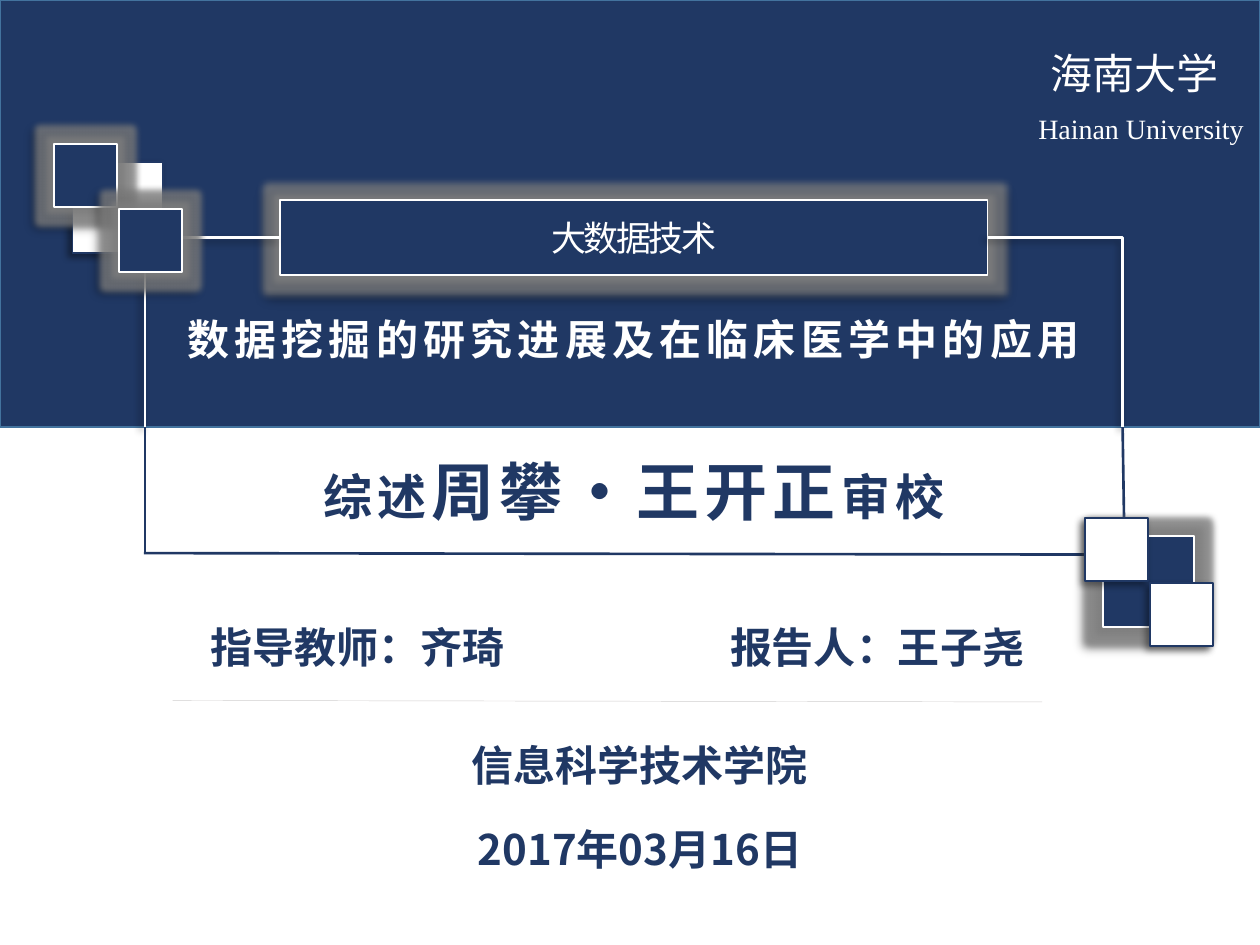
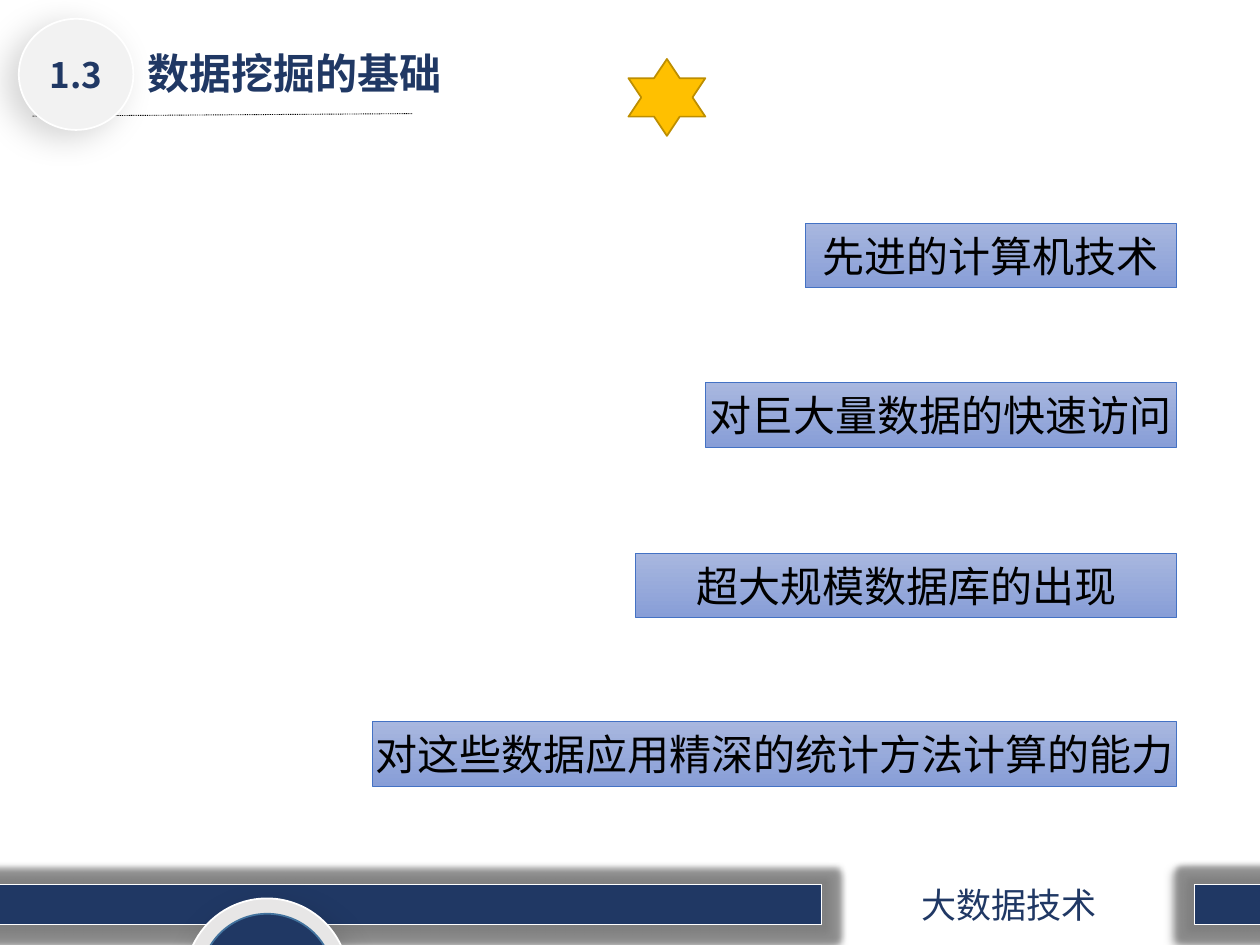
from pptx import Presentation
from pptx.dml.color import RGBColor
from pptx.enum.dml import MSO_LINE
from pptx.enum.lang import MSO_LANGUAGE_ID as LANG
from pptx.enum.shapes import MSO_CONNECTOR as CONN, MSO_SHAPE as SHAPE
from pptx.enum.text import MSO_ANCHOR as ANCHOR, MSO_AUTO_SIZE as FIT, PP_ALIGN as ALIGN
from pptx.oxml.ns import qn
from pptx.oxml.xmlchemy import OxmlElement
from pptx.util import Cm, Pt

NAVY, WHITE, EDGE, GREY = "203864", "FFFFFF", "43739E", "7F7F7F"
SANS = "Noto Sans CJK SC"
SOFT = ("000000", 40, 4, 3, 135)
BELOW = ("000000", 40, 4, 3, 90)
COURSE = "大数据技术"

COVER_TITLE = "数据挖掘的研究进展及在临床医学中的应用"
AUTHORS = [("综述", 28), ("周攀·王开正", 36), ("审校", 28)]
DETAILS = [
    ("指导教师：齐琦", 2.84, 12.4),
    ("报告人：王子尧", 13.31, 12.4),
    ("信息科学技术学院", 8.53, 14.78),
    ("2017年03月16日", 8.53, 16.48),
]
UNIVERSITY = [
    ("海南大学", (20.8, 0.84, 4.14, 1.27), 24, SANS),
    ("Hainan University", (20.02, 2.13, 5.97, 0.94), 16, "Times New Roman"),
]
FRAME_TOP = [((2.92, 4.75), (2.92, 8.61), CONN.STRAIGHT),
             ((19.91, 4.79), (22.63, 8.61), CONN.ELBOW)]
FRAME_BOTTOM = [((2.92, 8.61), (2.92, 11.15)),
                ((22.63, 8.61), (22.66, 10.52)),
                ((2.9, 11.15), (22.73, 11.18))]
SQUARE_GROUPS = [((21.87, 10.44), NAVY, WHITE), ((1.09, 2.9), WHITE, NAVY)]

SECTION_NO, SECTION_TITLE = "1.3", "数据挖掘的基础"
FOUNDATIONS = [
    ("先进的计算机技术", 4.5, 7.49),
    ("对巨大量数据的快速访问", 7.72, 9.5),
    ("超大规模数据库的出现", 11.15, 10.9),
    ("对这些数据应用精深的统计方法计算的能力", 14.55, 16.21),
]
FOUNDATION_RIGHT, FOUNDATION_HEIGHT = 23.72, 1.3
FOOTER_BARS = [(-0.15, 16.71), (24.08, 1.4)]


def rgb(color):
    return RGBColor.from_string(color)


def child(parent, tag, **attrs):
    e = OxmlElement(tag)
    for name, value in attrs.items():
        e.set(name, str(value))
    parent.append(e)
    return e


def add_effects(s, shadow=None, glow=False):
    sp_pr = s._element.spPr
    effects = sp_pr.find(qn("a:effectLst"))
    if effects is None:
        effects = child(sp_pr, "a:effectLst")
    if glow:
        e = child(effects, "a:glow", rad=Pt(7))
        child(child(e, "a:srgbClr", val=GREY), "a:alpha", val=75000)
    if shadow:
        color, alpha, blur, dist, angle = shadow
        e = child(effects, "a:outerShdw", blurRad=Pt(blur), dist=Pt(dist),
                  dir=angle * 60000, algn="ctr", rotWithShape=0)
        child(child(e, "a:srgbClr", val=color), "a:alpha", val=alpha * 1000)


def write(s, text, size=24, font=SANS, color=NAVY, bold=False, spc=0,
          align=ALIGN.CENTER, anchor=ANCHOR.TOP, wrap=True):
    tf = s.text_frame
    tf.auto_size = FIT.NONE
    tf.word_wrap = wrap
    tf.vertical_anchor = anchor
    p = tf.paragraphs[0]
    p.alignment = align
    runs = [(text, size)] if isinstance(text, str) else text
    for words, points in runs:
        r = p.add_run()
        r.text = words
        r.font.size, r.font.bold, r.font.name = Pt(points), bold, font
        r.font.color.rgb = rgb(color)
        r.font.language_id = LANG.SIMPLIFIED_CHINESE
        r_pr = r.font._element
        child(r_pr, "a:ea", typeface=SANS)
        if spc:
            r_pr.set("spc", str(int(spc * 100)))
    return s


def add_text(slide, text, at, **fmt):
    return write(slide.shapes.add_textbox(*map(Cm, at)), text, **fmt)


def set_title(slide, text, at, **fmt):
    s = slide.shapes.title
    s.left, s.top, s.width, s.height = map(Cm, at)
    slide.shapes._spTree.append(s._element)
    return write(s, text, bold=True, **fmt)


def add_shape(slide, at, fill, line, kind=SHAPE.RECTANGLE, width=1, shadow=None):
    s = slide.shapes.add_shape(kind, *map(Cm, at))
    s.shadow.inherit = False
    if isinstance(fill, str):
        s.fill.solid()
        s.fill.fore_color.rgb = rgb(fill)
    else:
        s.fill.gradient()
        s.fill.gradient_angle = 270
        for stop, color in zip(s.fill.gradient_stops, fill):
            stop.color.rgb = rgb(color)
    s.line.color.rgb = rgb(line)
    s.line.width = Pt(width)
    add_effects(s, shadow, glow=bool(shadow) and (fill, line) == (NAVY, WHITE))
    return s


def add_line(slide, start, end, color, width=1.5, kind=CONN.STRAIGHT, shadow=None):
    c = slide.shapes.add_connector(kind, *map(Cm, start + end))
    c.line.color.rgb = rgb(color)
    c.line.width = Pt(width)
    if kind == CONN.ELBOW:
        c._element.spPr.find(qn("a:prstGeom")).set("prst", "bentConnector2")
    add_effects(c, shadow)
    return c


def add_squares(slide, origin, big, small):
    x, y = origin
    for offset, size, fill, line in [(0.37, 1.83, big, small),
                                     (0, 1.27, small, big),
                                     (1.31, 1.27, small, big)]:
        add_shape(slide, (x + offset, y + offset, size, size), fill, line, shadow=SOFT)


def build_cover(prs, layout):
    slide = prs.slides.add_slide(layout)
    add_shape(slide, (0, 0, 25.4, 8.61), NAVY, EDGE)
    course = add_shape(slide, (5.64, 4.04, 14.27, 1.5), NAVY, WHITE, shadow=BELOW)
    write(course, COURSE, size=20, color=WHITE, spc=-1.5, anchor=ANCHOR.MIDDLE)
    link = add_line(slide, (5.64, 4.79), (2.9, 4.79), WHITE, shadow=SOFT)
    link.begin_connect(course, 1)
    for start, end, kind in FRAME_TOP:
        add_line(slide, start, end, WHITE, kind=kind, shadow=SOFT)
    for start, end in FRAME_BOTTOM:
        add_line(slide, start, end, NAVY)
    for group in SQUARE_GROUPS:
        add_squares(slide, *group)
    set_title(slide, COVER_TITLE, (2.9, 6.2, 19.74, 1.27), color=WHITE, spc=3)
    add_text(slide, AUTHORS, (2.92, 8.99, 19.71, 1.8), bold=True, spc=3)
    for text, x, y in DETAILS:
        add_text(slide, text, (x, y, 8.74, 1.27), bold=True)
    add_line(slide, (3.48, 14.12), (21.01, 14.15), "D0CECE", 0.25)
    for text, at, size, font in UNIVERSITY:
        add_text(slide, text, at, size=size, font=font, color=WHITE)


def add_footer(slide):
    for x, width in FOOTER_BARS:
        add_shape(slide, (x, 17.83, width, 0.81), NAVY, WHITE, shadow=SOFT)
    add_text(slide, COURSE, (16.23, 17.68, 8.23, 1.12), size=20)
    for at, fill, line, shadow in [
            ((3.73, 18.11, 3.3, 3.3), "E7E6E6", WHITE, ("000000", 19, 19, 8, 65)),
            ((4.04, 18.42, 2.69, 2.69), NAVY, EDGE, None)]:
        add_shape(slide, at, fill, line, SHAPE.TEAR, shadow=shadow).rotation = 141.3


def build_foundations(prs, layout):
    slide = prs.slides.add_slide(layout)
    set_title(slide, SECTION_TITLE, (2.72, 0.84, 7.44, 1.27), align=ALIGN.LEFT)
    rule = add_line(slide, (0.66, 2.34), (8.31, 2.29), "000000", 0.5)
    rule.line.dash_style = MSO_LINE.ROUND_DOT
    add_footer(slide)
    add_shape(slide, (12.67, 1.19, 1.55, 1.55), "FFC000", "BD8E00", SHAPE.STAR_6_POINT)
    badge = add_shape(slide, (0.38, 0.38, 2.31, 2.24), "F2F2F2", WHITE, SHAPE.OVAL,
                      shadow=("000000", 17, 19, 8, 149))
    write(badge, SECTION_NO, size=20, bold=True, anchor=ANCHOR.MIDDLE)
    for text, y, width in FOUNDATIONS:
        at = (FOUNDATION_RIGHT - width, y, width, FOUNDATION_HEIGHT)
        s = add_shape(slide, at, ("A8B7DF", "889ED7"), "4472C4", width=0.5)
        write(s, text, font="Calibri", color="000000", anchor=ANCHOR.MIDDLE, wrap=False)


def main():
    prs = Presentation()
    prs.slide_width, prs.slide_height = Cm(25.4), Cm(19.05)
    title_only = prs.slide_layouts[5]
    build_cover(prs, title_only)
    build_foundations(prs, title_only)
    prs.save("out.pptx")


if __name__ == "__main__":
    main()
